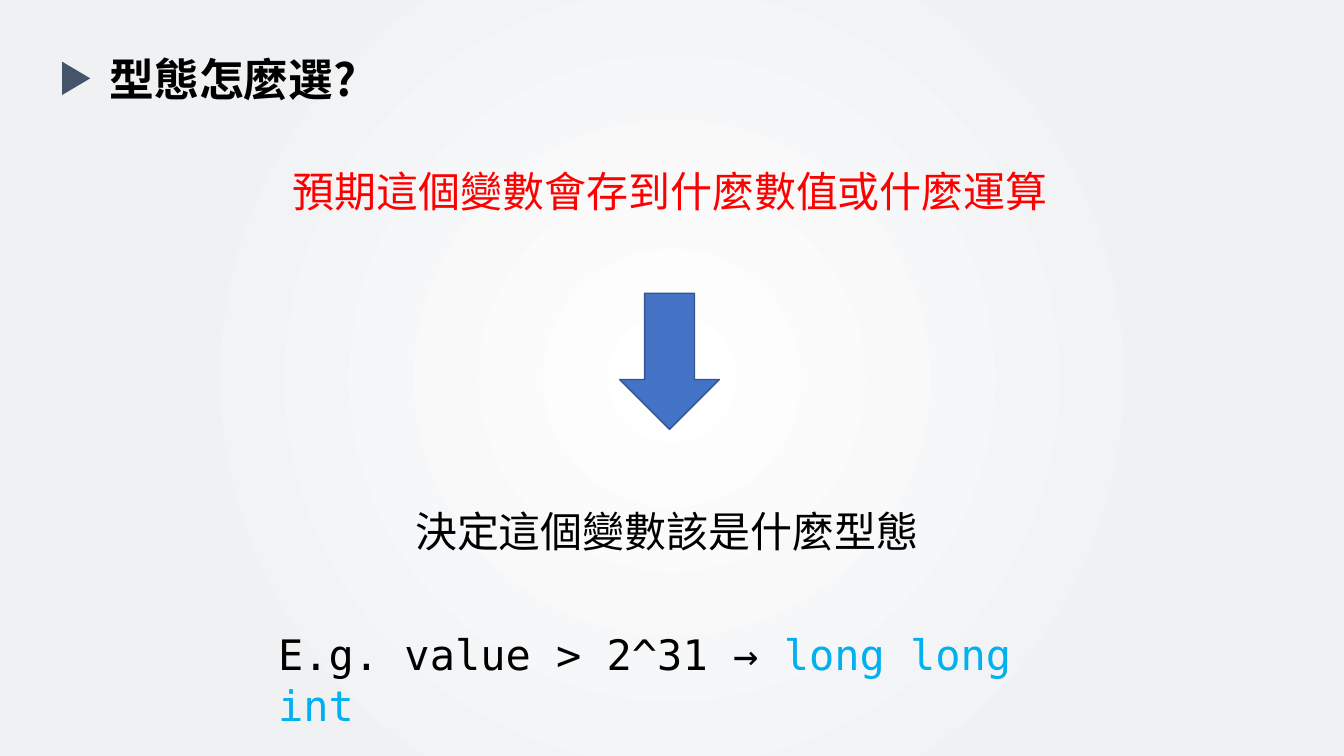
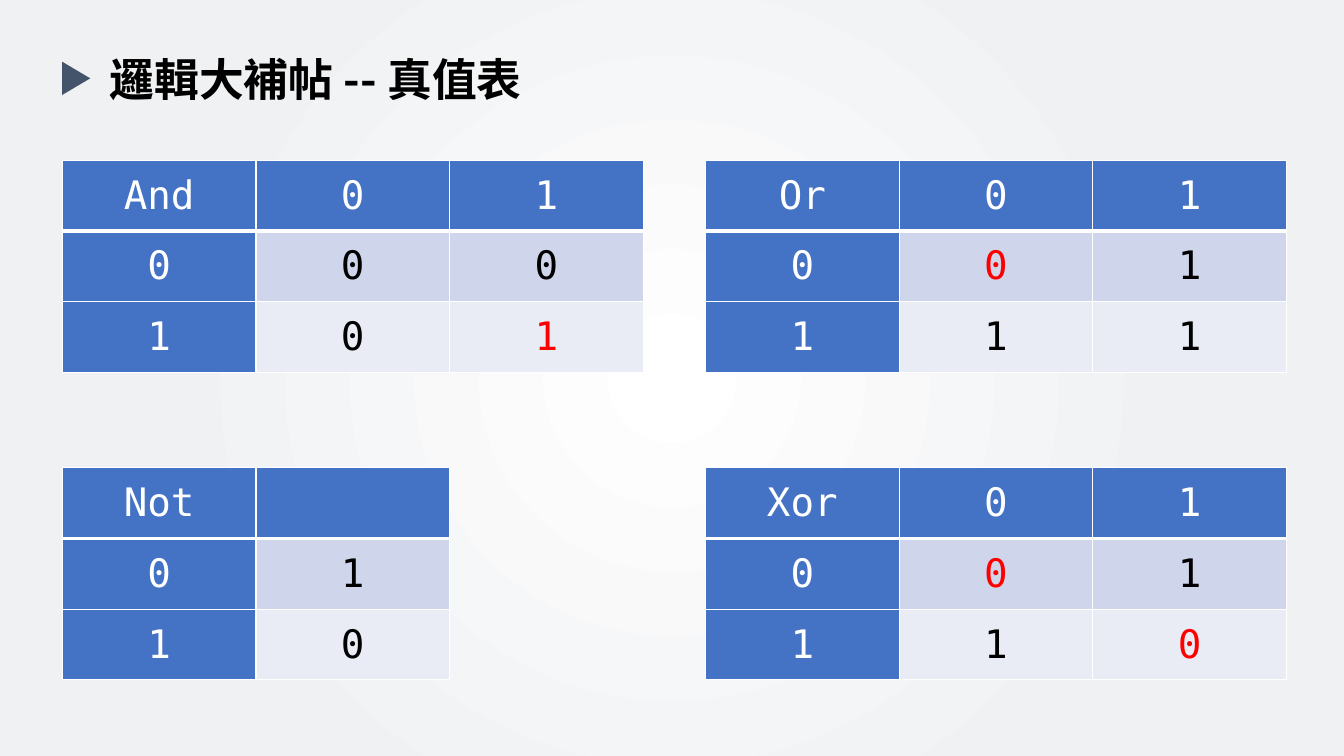
from lxml import etree
from pptx import Presentation
from pptx.dml.color import RGBColor
from pptx.enum import shapes, text
from pptx.oxml import ns
from pptx.util import Cm, Pt

BLACK = RGBColor(0x00, 0x00, 0x00)
WHITE = RGBColor(0xFF, 0xFF, 0xFF)
MIST = RGBColor(0xF0, 0xF1, 0xF3)
SLATE = RGBColor(0x44, 0x54, 0x6A)
BLUE = RGBColor(0x44, 0x72, 0xC4)
NAVY = RGBColor(0x32, 0x54, 0x91)
SKY = RGBColor(0x00, 0xB0, 0xF0)
RED = RGBColor(0xFF, 0x00, 0x00)
BANDS = (RGBColor(0xCF, 0xD5, 0xEA), RGBColor(0xE9, 0xEB, 0xF5))

SANS = "Noto Sans CJK SC"
MONO = "DejaVu Sans Mono"
COL, ROW = 4.88, 1.78
MID = text.PP_ALIGN.CENTER


def add_run(para, words, size, color, face, bold=False):
    run = para.add_run()
    run.text = words
    font = run.font
    font.size, font.bold, font.name = Pt(size), bold, face
    font.color.rgb = color
    # East Asian face follows the Latin one
    latin = run.font._element.find(ns.qn("a:latin"))
    east = etree.Element(ns.qn("a:ea"), typeface=face)
    latin.addnext(east)


def add_text(slide, box, runs, size, face, align=None, bold=False):
    frame = slide.shapes.add_textbox(*map(Cm, box)).text_frame
    frame.word_wrap = True
    para = frame.paragraphs[0]
    para.alignment = align
    for words, color in runs:
        add_run(para, words, size, color, face, bold)


def add_mark(slide, kind, box, fill, line=None):
    mark = slide.shapes.add_shape(kind, *map(Cm, box))
    mark.shadow.inherit = False
    mark.fill.solid()
    mark.fill.fore_color.rgb = fill
    if line:
        mark.line.color.rgb = line
        mark.line.width = Pt(1)
    else:
        mark.line.fill.background()
    return mark


def set_back(master):
    # White glow in the middle, fading to grey
    fill = master.background.fill
    fill.gradient()
    for stop, spot, color in zip(fill.gradient_stops, (0, 0.67), (WHITE, MIST)):
        stop.position = spot
        stop.color.rgb = color
    grad = master.element.find(".//" + ns.qn("a:gradFill"))
    grad.remove(grad.find(ns.qn("a:lin")))
    glow = etree.Element(ns.qn("a:path"), {"path": "circle"})
    etree.SubElement(glow, ns.qn("a:fillToRect"),
                     {side: "50000" for side in "ltrb"})
    grad.find(ns.qn("a:gsLst")).addnext(glow)


def add_slide(deck, title):
    slide = deck.slides.add_slide(deck.slide_layouts[6])
    add_text(slide, (2.51, 1.17, 21.79, 1.63), [(title, BLACK)], 32, SANS,
             bold=True)
    arrow = add_mark(slide, shapes.MSO_SHAPE.ISOSCELES_TRIANGLE,
                     (1.5, 1.62, 0.84, 0.71), SLATE)
    arrow.rotation = 90
    return slide


def set_edges(cell, row):
    # Thick rule between the header and the body
    props = cell._tc.get_or_add_tcPr()
    thick = {0: "lnB", 1: "lnT"}.get(row)
    for spot, side in enumerate(("lnL", "lnR", "lnT", "lnB")):
        width = Pt(3 if side == thick else 1)
        edge = etree.Element(ns.qn("a:" + side), w=str(int(width)))
        fill = etree.SubElement(edge, ns.qn("a:solidFill"))
        etree.SubElement(fill, ns.qn("a:srgbClr"), val=str(WHITE))
        props.insert(spot, edge)


def add_truth(slide, left, top, rows, reds):
    high, wide = len(rows), len(rows[0])
    grid = slide.shapes.add_table(high, wide, Cm(left), Cm(top),
                                  Cm(COL * wide), Cm(ROW * high)).table
    grid.first_row = grid.horz_banding = False
    for col in grid.columns:
        col.width = Cm(COL)
    for i, row in enumerate(rows):
        grid.rows[i].height = Cm(ROW)
        for j, words in enumerate(row):
            cell = grid.cell(i, j)
            head = i == 0 or j == 0
            cell.fill.solid()
            cell.fill.fore_color.rgb = BLUE if head else BANDS[i - 1]
            cell.vertical_anchor = text.MSO_ANCHOR.MIDDLE
            set_edges(cell, i)
            para = cell.text_frame.paragraphs[0]
            para.alignment = MID
            color = WHITE if head else RED if (i, j) in reds else BLACK
            if words:
                add_run(para, words, 28, color, MONO)


def type_slide(deck):
    slide = add_slide(deck, "型態怎麼選?")
    add_text(slide, (7.01, 4.04, 19.76, 1.55),
             [("預期這個變數會存到什麼數值或什麼運算", RED)], 30, SANS, MID)
    add_mark(slide, shapes.MSO_SHAPE.DOWN_ARROW, (15.62, 7.39, 2.51, 3.43),
             BLUE, NAVY)
    add_text(slide, (10.21, 12.62, 13.34, 1.55),
             [("決定這個變數該是什麼型態", BLACK)], 30, SANS)
    # Example
    add_text(slide, (6.76, 15.72, 20.37, 1.55),
             [("E.g. value > 2^31 → ", BLACK), ("long long int", SKY)],
             30, MONO)


def truth_slide(deck):
    slide = add_slide(deck, "邏輯大補帖 -- 真值表")
    lefts, tops = (1.57, 17.78), (4.04, 11.79)
    # Column, row, cell texts, cells in red
    tables = (
        (0, 0, (("And", "0", "1"), "000", "101"), {(2, 2)}),
        (1, 0, (("Or", "0", "1"), "001", "111"), {(1, 1)}),
        (0, 1, (("Not", ""), "01", "10"), set()),
        (1, 1, (("Xor", "0", "1"), "001", "110"), {(1, 1), (2, 2)}),
    )
    for col, row, rows, reds in tables:
        add_truth(slide, lefts[col], tops[row], rows, reds)


def main():
    deck = Presentation()
    deck.slide_width, deck.slide_height = Cm(33.87), Cm(19.05)
    set_back(deck.slide_master)
    type_slide(deck)
    truth_slide(deck)
    deck.save("out.pptx")


if __name__ == "__main__":
    main()
